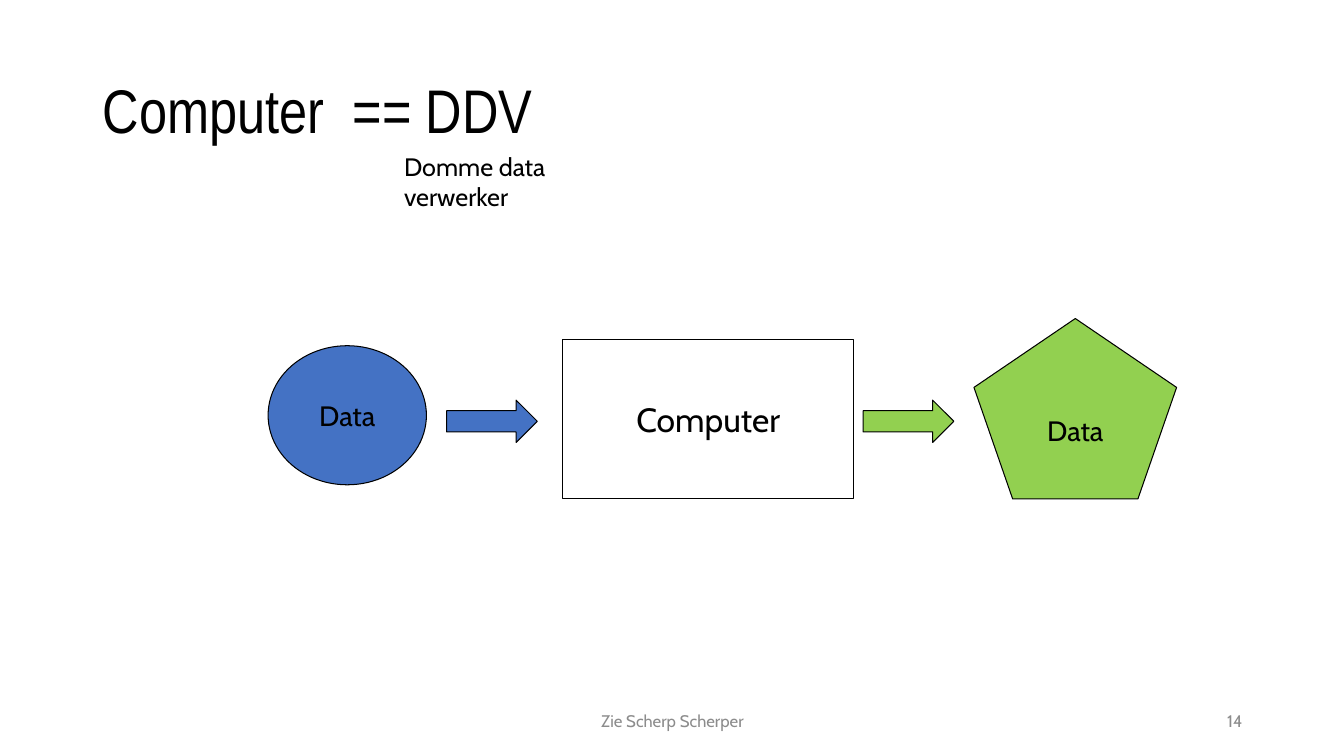
import pptx
import pptx.util
import pptx.dml.color
import pptx.enum.shapes
import pptx.enum.text

SHAPE = pptx.enum.shapes.MSO_SHAPE
ALIGN = pptx.enum.text.PP_ALIGN
ANCHOR = pptx.enum.text.MSO_ANCHOR

BLACK, WHITE, GREY = "000000", "FFFFFF", "8C8C8C"
INPUT_BLUE, OUTPUT_GREEN = "4472C4", "92D050"


def rgb(hex_string):
    return pptx.dml.color.RGBColor.from_string(hex_string)


class SlideBuilder:
    """Holds the style and slide; places are percentages of the slide's size."""

    body_font = "Cabin"
    title_font = "Arial Narrow"
    outline_width = pptx.util.Pt(0.75)

    def __init__(self, deck):
        self.deck = deck
        self.slide = deck.slides.add_slide(deck.slide_layouts[6])

    def place(self, left, top, width, height):
        across, down = self.deck.slide_width / 100, self.deck.slide_height / 100
        return [round(left * across), round(top * down),
                round(width * across), round(height * down)]

    def set_words(self, frame, words, size, color=BLACK, align=ALIGN.LEFT,
                  anchor=ANCHOR.MIDDLE, font=None):
        frame.word_wrap = True
        frame.vertical_anchor = anchor
        paragraph = frame.paragraphs[0]
        paragraph.alignment = align
        text_format = {"name": font or self.body_font, "size": pptx.util.Pt(size)}
        for part in words:
            run = paragraph.add_run()
            run.text = part
            for attribute, value in text_format.items():
                setattr(run.font, attribute, value)
            run.font.color.rgb = rgb(color)
        return paragraph

    def label(self, area, words, size, **style):
        box = self.slide.shapes.add_textbox(*self.place(*area))
        return self.set_words(box.text_frame, words, size, **style)

    def block(self, kind, area, fill, words=(), size=20):
        shape = self.slide.shapes.add_shape(kind, *self.place(*area))
        shape.shadow.inherit = False
        shape.fill.solid()
        shape.fill.fore_color.rgb = rgb(fill)
        shape.line.color.rgb = rgb(BLACK)
        shape.line.width = self.outline_width
        if words:
            self.set_words(shape.text_frame, words, size, align=ALIGN.CENTER)


def main():
    deck = pptx.Presentation()
    deck.slide_width = pptx.util.Inches(13.33)
    deck.slide_height = pptx.util.Inches(7.5)
    builder = SlideBuilder(deck)

    # Title, with a widened space before the equals signs
    title = builder.label((6.9, 5.33, 86.27, 19.33), ["Computer", " ", "== DDV"],
                          44, font=builder.title_font)
    title.line_spacing = 0.9
    title.runs[1]._r.get_or_add_rPr().set("spc", "1000")

    # Data in, computer, data out
    builder.block(SHAPE.OVAL, (19.95, 45.73, 11.78, 18.4), INPUT_BLUE, ["Data"])
    builder.block(SHAPE.RECTANGLE, (41.86, 44.93, 21.68, 21.07), WHITE,
                  ["Computer"], 24)
    for arrow_left, arrow_fill in ((33.23, INPUT_BLUE), (64.22, OUTPUT_GREEN)):
        builder.block(SHAPE.RIGHT_ARROW, (arrow_left, 52.93, 6.75, 5.6), arrow_fill)
    builder.block(SHAPE.REGULAR_PENTAGON, (72.47, 42.13, 15.08, 23.87),
                  OUTPUT_GREEN, ["Data"])

    # Meaning of the abbreviation
    builder.label((29.33, 19.33, 19.73, 5.33), ["Domme data verwerker"], 18,
                  anchor=ANCHOR.TOP)

    # Footer and page number
    footer_top, footer_height = 92.67, 5.33
    for left, width, words, align in (
            (33.16, 33.76, "Zie Scherp Scherper", ALIGN.CENTER),
            (70.67, 22.51, "14", ALIGN.RIGHT)):
        builder.label((left, footer_top, width, footer_height), [words], 12,
                      color=GREY, align=align)

    deck.save("out.pptx")


if __name__ == "__main__":
    main()
